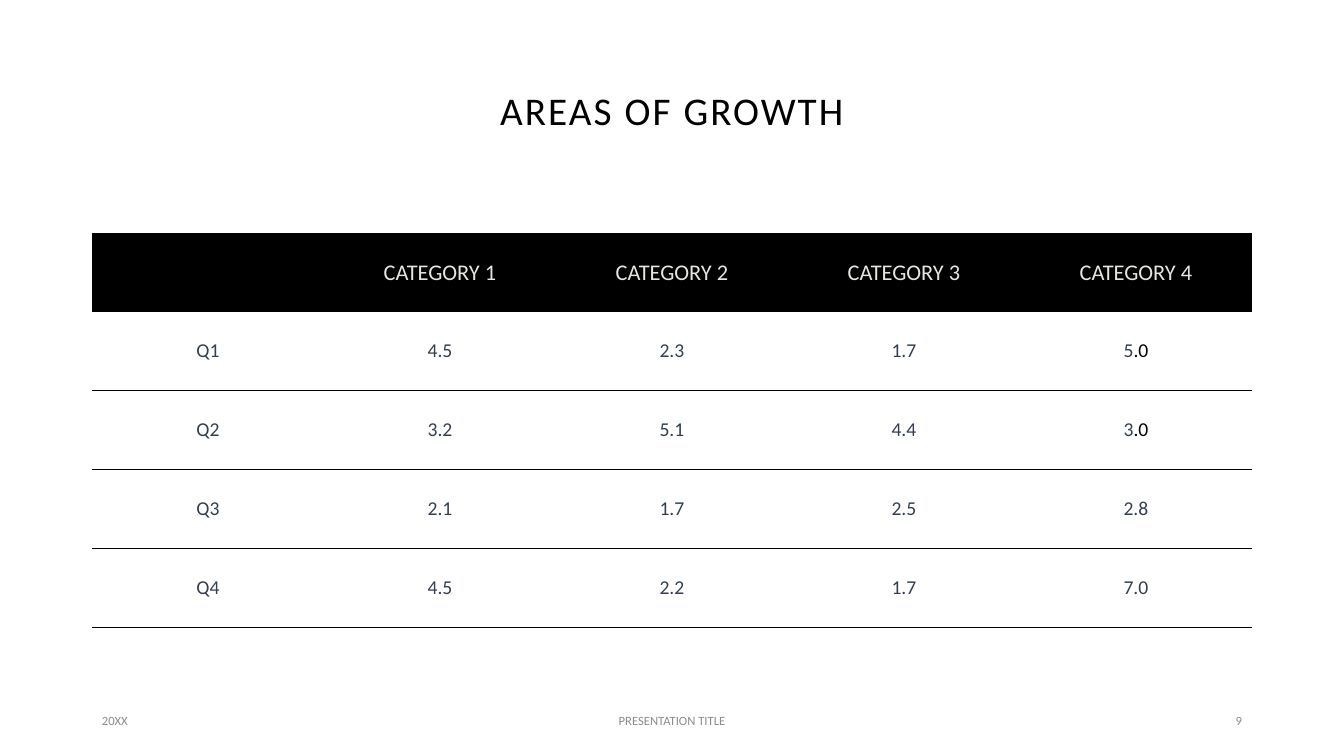
from lxml.etree import SubElement
from pptx import Presentation
from pptx.dml.color import RGBColor
from pptx.enum.text import MSO_ANCHOR, PP_ALIGN
from pptx.oxml.ns import qn
from pptx.util import Emu, Pt

# Content; a tuple holds a value whose decimals take the accent colour
TITLE = "AREAS OF GROWTH"
ROWS = [
    ["", "CATEGORY 1", "CATEGORY 2", "CATEGORY 3", "CATEGORY 4"],
    ["Q1", "4.5", "2.3", "1.7", ("5", ".0")],
    ["Q2", "3.2", "5.1", "4.4", ("3", ".0")],
    ["Q3", "2.1", "1.7", "2.5", "2.8"],
    ["Q4", "4.5", "2.2", "1.7", "7.0"],
]
FOOTER = [
    ("20XX", 92, 303, PP_ALIGN.LEFT),
    ("PRESENTATION TITLE", 445, 454, PP_ALIGN.CENTER),
    ("9", 949, 303, PP_ALIGN.RIGHT),
]

# Theme and layout in px
THEME = {
    "font": "Calibri",
    "black": "000000",
    "title": {"size": 28, "color": "000000"},
    "header": {"size": 16, "color": "E9E6DF"},
    "body": {"size": 14, "color": "333F50"},
    "accent": {"size": 14, "color": "000000"},
    "footer": {"size": 9, "color": "8C8C8C"},
}
SLIDE_SIZE = (1344, 756)
TITLE_BOX = (92, 40, 1160, 146)
TABLE_BOX = (92, 233, 1160, 394)
FOOTER_TOP, FOOTER_HEIGHT = 701, 40


def px(length):
    return Emu(round(length * 914400 / 100.8))


def add_run(paragraph, text, style):
    run = paragraph.add_run()
    run.text = text
    run.font.color.rgb = RGBColor.from_string(THEME[style]["color"])
    formats = {"name": THEME["font"], "size": Pt(THEME[style]["size"]), "bold": False}
    for name, value in formats.items():
        setattr(run.font, name, value)
    return run


def add_text(slide, box, text, style, alignment):
    frame = slide.shapes.add_textbox(*map(px, box)).text_frame
    for name, value in {"word_wrap": True, "vertical_anchor": MSO_ANCHOR.MIDDLE}.items():
        setattr(frame, name, value)
    paragraph = frame.paragraphs[0]
    paragraph.alignment = alignment
    return paragraph, add_run(paragraph, text, style)


def set_borders(cell, visible):
    properties = cell._tc.get_or_add_tcPr()
    for index, side in enumerate(("lnL", "lnR", "lnT", "lnB")):
        line = properties.makeelement(qn(f"a:{side}"), {"w": str(Pt(0.5))})
        properties.insert(index, line)
        if side in visible:
            fill = SubElement(line, qn("a:solidFill"))
            SubElement(fill, qn("a:srgbClr"), val=THEME["black"])
        else:
            SubElement(line, qn("a:noFill"))


def fill_cell(cell, value, is_header):
    cell.vertical_anchor = MSO_ANCHOR.MIDDLE
    if is_header:
        cell.fill.solid()
        cell.fill.fore_color.rgb = RGBColor.from_string(THEME["black"])
    else:
        cell.fill.background()
    set_borders(cell, ("lnT", "lnB"))
    paragraph = cell.text_frame.paragraphs[0]
    paragraph.alignment = PP_ALIGN.CENTER
    parts = value if isinstance(value, tuple) else (value,)
    styles = ("header",) if is_header else ("body", "accent")
    for part, style in zip(parts, styles):
        if part:
            add_run(paragraph, part, style)


def add_growth_table(slide):
    table = slide.shapes.add_table(len(ROWS), len(ROWS[0]), *map(px, TABLE_BOX)).table
    for name in ("first_row", "horz_banding"):
        setattr(table, name, False)
    for column in table.columns:
        column.width = px(TABLE_BOX[2] / len(ROWS[0]))
    for row_index, values in enumerate(ROWS):
        table.rows[row_index].height = px(TABLE_BOX[3] / len(ROWS))
        for column_index, value in enumerate(values):
            fill_cell(table.cell(row_index, column_index), value, row_index == 0)


def main():
    presentation = Presentation()
    presentation.slide_width, presentation.slide_height = map(px, SLIDE_SIZE)
    slide = presentation.slides.add_slide(presentation.slide_layouts[6])

    # Title with spaced letters
    paragraph, run = add_text(slide, TITLE_BOX, TITLE, "title", PP_ALIGN.CENTER)
    paragraph.line_spacing = 0.9
    run.font._element.set("spc", "150")

    # Quarterly table
    add_growth_table(slide)

    # Footer
    for text, left, width, alignment in FOOTER:
        add_text(slide, (left, FOOTER_TOP, width, FOOTER_HEIGHT), text, "footer", alignment)

    presentation.save("out.pptx")


if __name__ == "__main__":
    main()
